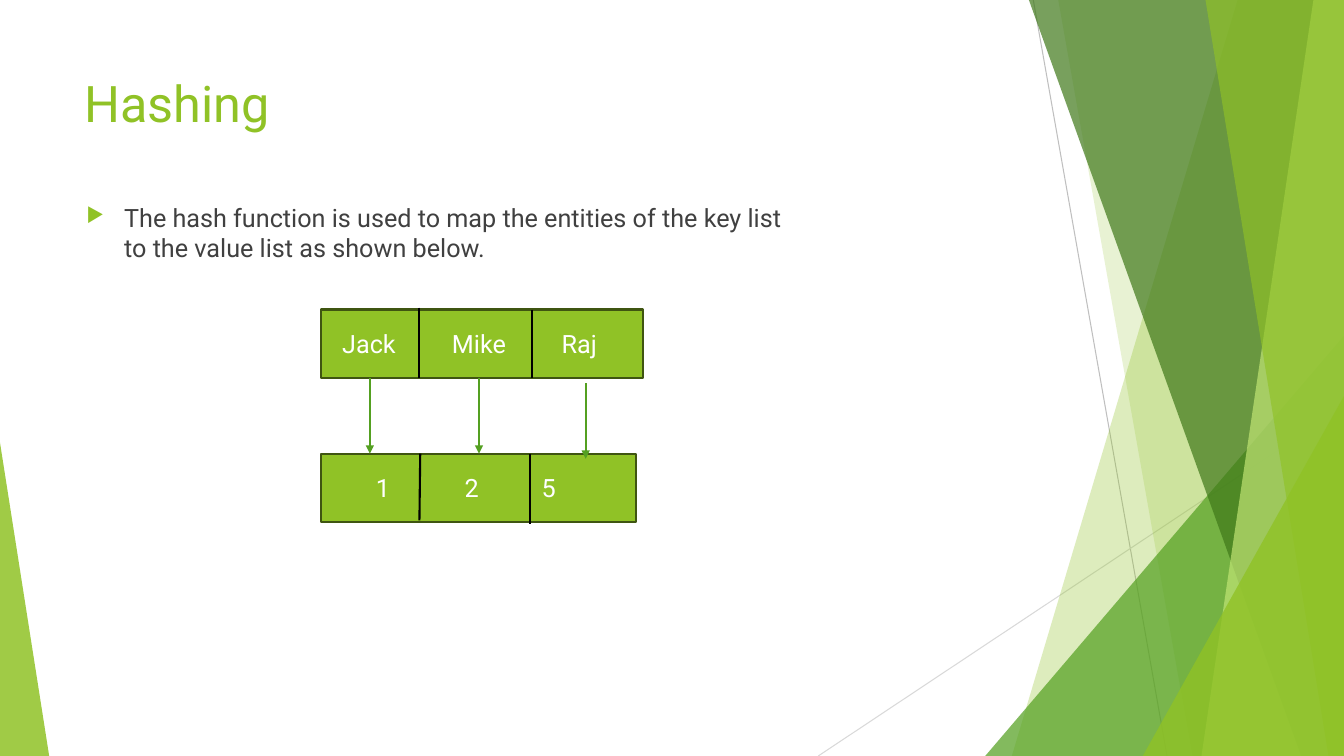
import pptx
import pptx.util
import pptx.dml.color
import pptx.enum.shapes
import pptx.enum.text
import pptx.oxml
import pptx.oxml.ns
import lxml.etree

Cm = pptx.util.Cm
Pt = pptx.util.Pt
RGBColor = pptx.dml.color.RGBColor
KIND = pptx.enum.shapes.MSO_SHAPE
ALIGN = pptx.enum.text.PP_ALIGN
ANCHOR = pptx.enum.text.MSO_ANCHOR
qn = pptx.oxml.ns.qn

LIME = RGBColor(0x90, 0xC2, 0x26)
GREEN = RGBColor(0x54, 0xA0, 0x21)
FOREST = RGBColor(0x3F, 0x78, 0x19)
PALE = RGBColor(0xC0, 0xE4, 0x74)
OLIVE = RGBColor(0x3F, 0x55, 0x11)
WHITE = RGBColor(0xFF, 0xFF, 0xFF)
BLACK = RGBColor(0x00, 0x00, 0x00)
INK = RGBColor(0x40, 0x40, 0x40)
GREY = RGBColor(0xBF, 0xBF, 0xBF)
SILVER = RGBColor(0xD9, 0xD9, 0xD9)

FONT = "Roboto"
WIDE, HIGH = 33.87, 19.05


def add_tag(parent, name, **attrs):
    return lxml.etree.SubElement(parent, qn(name), attrs)


def tint(shape, color, alpha):
    shape.shadow.inherit = False
    shape.fill.solid()
    shape.fill.fore_color.rgb = color
    shape.line.fill.background()
    node = shape.fill._xPr.find(".//" + qn("a:srgbClr"))
    add_tag(node, "a:alpha", val=str(alpha * 1000))


def add_line(slide, start, end, color, width, arrow=False):
    line = slide.shapes.add_connector(
        pptx.enum.shapes.MSO_CONNECTOR.STRAIGHT,
        Cm(start[0]), Cm(start[1]), Cm(end[0]), Cm(end[1]))
    line.line.color.rgb = color
    line.line.width = Pt(width)
    if arrow:
        add_tag(line.line._get_or_add_ln(), "a:tailEnd", type="triangle")
    add_tag(line._element.spPr, "a:effectLst")


def add_run(para, text, size, color):
    run = para.add_run()
    run.text = text
    run.font.name = FONT
    run.font.size = Pt(size)
    run.font.color.rgb = color


def add_pane(slide, box, head, foot, color, alpha):
    left, top, width, height = box
    right, base = left + width, top + height
    pen = slide.shapes.build_freeform(Cm(left + head), Cm(top), 1.0)
    pen.add_line_segments([(Cm(right), Cm(top)), (Cm(right), Cm(base)),
                           (Cm(left + foot), Cm(base))], close=True)
    tint(pen.convert_to_shape(), color, alpha)


def add_peak(slide, box, apex, color, alpha):
    peak = slide.shapes.add_shape(KIND.ISOSCELES_TRIANGLE, *map(Cm, box))
    peak.adjustments[0] = apex
    tint(peak, color, alpha)


def draw_frame(slide, box):
    left, top, width, height = box
    right, base = left + width, top + height
    add_line(slide, (left + 26.04, top), (left + 29.41, base), GREY, 0.75)
    add_line(slide, (right, top + 10.24), (left + 20.62, base), SILVER, 0.75)

    def rise(wide, high, color, alpha):
        add_peak(slide, (right - wide, base - high, wide, high), 1, color, alpha)

    add_pane(slide, box, 31.19, 25.5, LIME, 30)
    add_pane(slide, box, 26.67, 30.05, LIME, 20)
    rise(9.04, 10.59, GREEN, 72)
    add_pane(slide, box, 25.93, 32.79, FOREST, 70)
    add_pane(slide, box, 33.1, 30.28, PALE, 70)
    add_pane(slide, box, 30.38, 33.48, LIME, 65)
    rise(5.07, 9.07, LIME, 80)
    add_peak(slide, (left, base - 7.9, 1.24, 7.9), 0, LIME, 85)


def add_text(slide, box, text, size, color):
    frame = slide.shapes.add_textbox(*map(Cm, box)).text_frame
    frame.word_wrap = True
    para = frame.paragraphs[0]
    add_run(para, text, size, color)
    return para


def draw_point(slide, box, text):
    para = add_text(slide, box, text, 18, INK)
    para.space_before = Pt(10)
    props = para._p.get_or_add_pPr()
    props.set("marL", str(Cm(0.95)))
    props.set("indent", str(-Cm(0.95)))
    add_tag(add_tag(props, "a:buClr"), "a:srgbClr", val=str(LIME))
    add_tag(props, "a:buSzPct", val="80000")
    add_tag(props, "a:buChar", char="▶")


def draw_bar(slide, box, words, stops, cuts):
    left, top = box[:2]
    bar = slide.shapes.add_shape(KIND.RECTANGLE, *map(Cm, box))
    bar.shadow.inherit = False
    bar.fill.solid()
    bar.fill.fore_color.rgb = LIME
    bar.line.color.rgb = OLIVE
    bar.line.width = Pt(1.5)
    frame = bar.text_frame
    frame.margin_left = frame.margin_right = 0
    frame.vertical_anchor = ANCHOR.MIDDLE
    para = frame.paragraphs[0]
    para.alignment = ALIGN.LEFT
    tabs = add_tag(para._p.get_or_add_pPr(), "a:tabLst")
    for word, stop in zip(words, stops):
        add_tag(tabs, "a:tab", pos=str(Cm(stop)), algn="ctr")
        add_run(para, "\t" + word, 18, WHITE)
    for x1, y1, x2, y2 in cuts:
        add_line(slide, (left + x1, top + y1), (left + x2, top + y2), BLACK, 1.5)


def draw_map(slide, box):
    left, top, width, height = box
    bar = 1.73
    drop = height - bar
    draw_bar(slide, (left, top, width, bar), ("Jack", "Mike", "Raj"),
             (1.2, 3.97, 6.5),
             ((2.47, -0.05, 2.47, bar), (5.31, 0, 5.31, bar)))
    draw_bar(slide, (left, top + drop, width - 0.18, bar), ("1", "2", "5"),
             (1.55, 3.79, 5.73),
             ((2.49, 0, 2.47, 1.68), (5.26, 0, 5.26, 1.78)))
    for x, shift in ((1.22, 0), (3.97, 0), (6.66, 0.13)):
        add_line(slide, (left + x, top + bar + shift),
                 (left + x, top + drop + shift), GREEN, 1.5, True)


def main():
    deck = pptx.Presentation()
    deck.slide_width, deck.slide_height = Cm(WIDE), Cm(HIGH)
    slide = deck.slides.add_slide(deck.slide_layouts[6])
    draw_frame(slide, (0, 0, WIDE, HIGH))
    add_text(slide, (1.88, 1.7, 23.88, 3.66), "Hashing", 36, LIME)
    draw_point(slide, (1.93, 4.98, 18.44, 2.08),
               "The hash function is used to map the entities of the key list "
               "to the value list as shown below.")
    draw_map(slide, (8.1, 7.8, 8.1, 5.36))
    deck.save("out.pptx")


if __name__ == "__main__":
    main()
